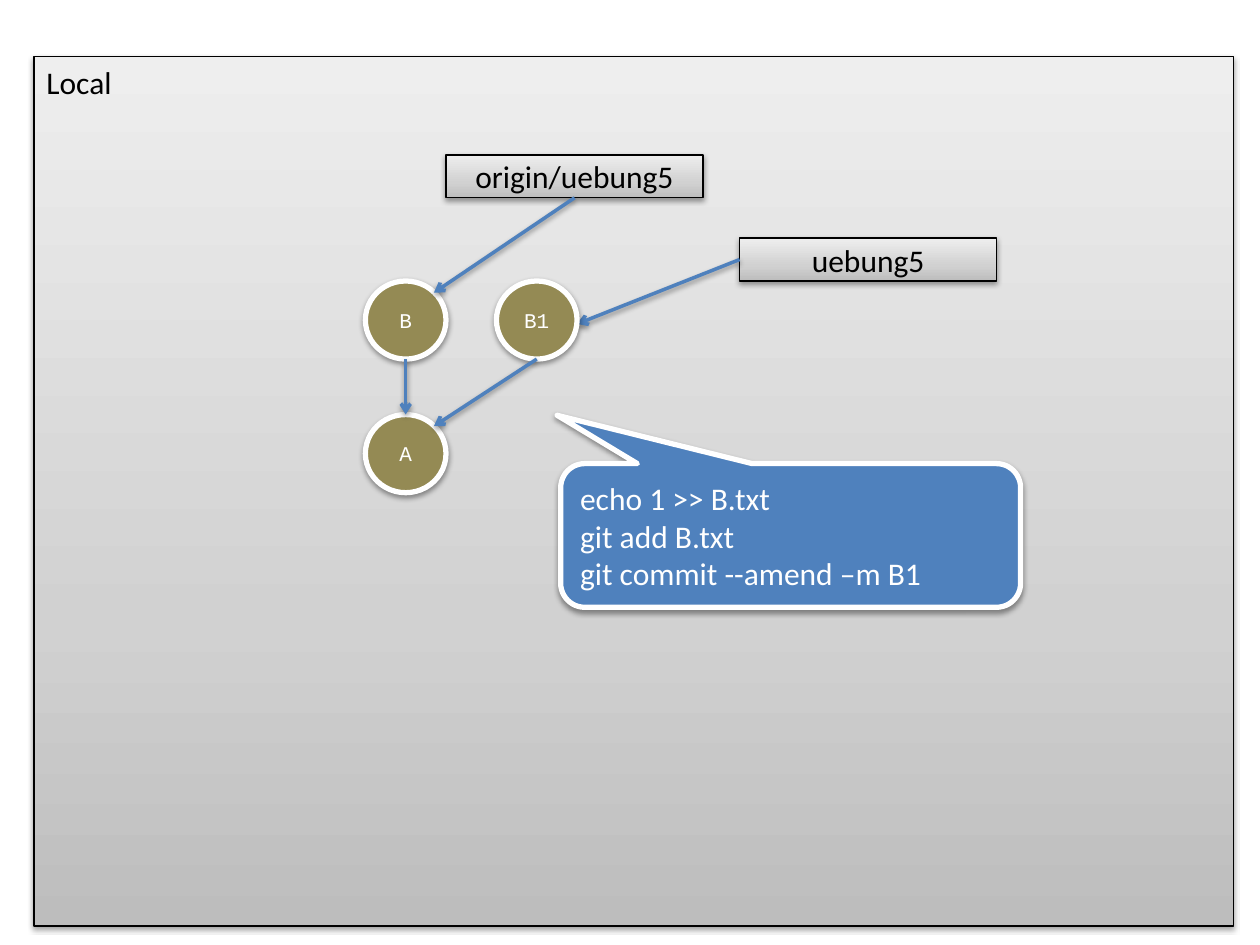
"""Build a slide showing how amending a Git commit moves a local branch."""
import lxml.etree
import pptx
import pptx.dml.color
import pptx.enum.shapes
import pptx.enum.text
import pptx.oxml
import pptx.oxml.ns
import pptx.util

Inches = pptx.util.Inches
SHAPES = pptx.enum.shapes.MSO_SHAPE
ALIGN = pptx.enum.text.PP_ALIGN
ANCHOR = pptx.enum.text.MSO_ANCHOR

THEME = {
    "black": "000000", "white": "FFFFFF", "blue": "4F81BD", "olive": "948A54",
    "gradient": [(0, "BDBDBD"), (35, "D1D1D1"), (100, "EEEEEE")],
    "sans": "Calibri", "mono": "Courier New",
    "label_size": 18, "node_size": 12,
    "thin": 0.75, "thick": 3, "arrow": 2,
}

NODE_SIZE = (0.64, 0.62)
LABEL_SIZE = (2.04, 0.34)
COLUMNS = (2.9, 3.94)
ROWS = (2.23, 3.29)

LABEL = {"kind": SHAPES.RECTANGLE, "fill": None, "line": "black", "width": "thin",
         "color": "black", "align": ALIGN.CENTER}
NODE = {"kind": SHAPES.OVAL, "fill": "olive", "line": "white", "width": "thick",
        "font": "mono", "size": "node_size", "align": ALIGN.CENTER}
PANEL = {**LABEL, "align": ALIGN.LEFT, "anchor": ANCHOR.TOP}
CALLOUT = {"kind": SHAPES.ROUNDED_RECTANGULAR_CALLOUT, "fill": "blue", "line": "white",
           "width": "thick", "adjust": (-0.508, -0.837, 0.167)}

BOXES = {
    "Local": (0.27, 0.45, 9.52, 6.9),
    "A": (COLUMNS[0], ROWS[1], *NODE_SIZE),
    "B": (COLUMNS[0], ROWS[0], *NODE_SIZE),
    "B1": (COLUMNS[1], ROWS[0], *NODE_SIZE),
    "origin/uebung5": (3.54, 1.23, *LABEL_SIZE),
    "uebung5": (5.87, 1.89, *LABEL_SIZE),
    "echo 1 >> B.txt\ngit add B.txt\ngit commit --amend –m B1": (4.45, 3.68, 3.65, 1.14),
}
COMMANDS = list(BOXES)[-1]

SIDES = {"top": (0.5, 0), "bottom": (0.5, 1), "left": (0, 0.5),
         "right": (1, 0.55), "top right": (0.85, 0.15)}

STEPS = [
    ("box", "Local", PANEL),
    ("box", "A", NODE),
    ("box", "B", NODE),
    ("arrow", ("B", "bottom"), ("A", "top")),
    ("box", "origin/uebung5", LABEL),
    ("arrow", ("origin/uebung5", "bottom"), ("B", "top right")),
    ("box", "uebung5", LABEL),
    ("arrow", ("uebung5", "left"), ("B1", "right")),
    ("box", COMMANDS, CALLOUT),
    ("box", "B1", NODE),
    ("arrow", ("B1", "bottom"), ("A", "top right")),
]


def rgb(name):
    """Return a theme colour."""
    return pptx.dml.color.RGBColor.from_string(THEME[name])


def add_shadow(properties):
    """Give a shape or connector the soft shadow below it."""
    for old in properties.findall(pptx.oxml.ns.qn("a:effectLst")):
        properties.remove(old)
    properties.append(pptx.oxml.parse_xml(
        f'<a:effectLst {pptx.oxml.ns.nsdecls("a")}>'
        f'<a:outerShdw blurRad="{pptx.util.Pt(3.1)}" dist="{pptx.util.Pt(1.6)}" '
        'dir="5400000" rotWithShape="0"><a:srgbClr val="000000">'
        '<a:alpha val="38000"/></a:srgbClr></a:outerShdw></a:effectLst>'))


def fill_gradient(shape):
    """Fill a shape with the grey gradient, darkest at the bottom."""
    shape.fill.gradient()
    old = shape._element.spPr.find(pptx.oxml.ns.qn("a:gradFill"))
    stops = "".join(f'<a:gs pos="{place * 1000}"><a:srgbClr val="{color}"/></a:gs>'
                    for place, color in THEME["gradient"])
    new = pptx.oxml.parse_xml(
        f'<a:gradFill {pptx.oxml.ns.nsdecls("a")} rotWithShape="1"><a:gsLst>{stops}</a:gsLst>'
        '<a:lin ang="16200000" scaled="0"/></a:gradFill>')
    old.getparent().replace(old, new)


def add_box(page, text, *, kind, fill, line, width, color="white", font="sans",
            size="label_size", align=ALIGN.LEFT, anchor=ANCHOR.MIDDLE, adjust=()):
    """Add a shape holding the text, one paragraph a line."""
    box = page.shapes.add_shape(kind, *map(Inches, BOXES[text]))
    for index, value in enumerate(adjust):
        box.adjustments[index] = value
    if fill:
        box.fill.solid()
        box.fill.fore_color.rgb = rgb(fill)
    else:
        fill_gradient(box)
    box.line.color.rgb = rgb(line)
    box.line.width = pptx.util.Pt(THEME[width])
    add_shadow(box._element.spPr)
    frame = box.text_frame
    frame.word_wrap = True
    frame.vertical_anchor = anchor
    frame.text = text
    for para in frame.paragraphs:
        para.alignment = align
        for span in para.runs:
            span.font.name = THEME[font]
            span.font.size = pptx.util.Pt(THEME[size])
            span.font.color.rgb = rgb(color)


def find_point(name, side):
    """Return the point on the given side of a box."""
    left, top, width, height = BOXES[name]
    across, down = SIDES[side]
    return Inches(left + across * width), Inches(top + down * height)


def add_arrow(page, start, end):
    """Add an arrow between the sides of two boxes."""
    arrow = page.shapes.add_connector(pptx.enum.shapes.MSO_CONNECTOR.STRAIGHT,
                                      *find_point(*start), *find_point(*end))
    arrow.line.color.rgb = rgb("blue")
    arrow.line.width = pptx.util.Pt(THEME["arrow"])
    lxml.etree.SubElement(arrow.line._get_or_add_ln(),
                          pptx.oxml.ns.qn("a:tailEnd"), type="arrow")
    add_shadow(arrow._element.spPr)


def main():
    """Draw every step in order and save the deck."""
    deck = pptx.Presentation()
    deck.slide_width, deck.slide_height = Inches(10), Inches(7.5)
    page = deck.slides.add_slide(deck.slide_layouts[6])
    for action, first, second in STEPS:
        if action == "box":
            add_box(page, first, **second)
        else:
            add_arrow(page, first, second)
    deck.save("out.pptx")


if __name__ == "__main__":
    main()
